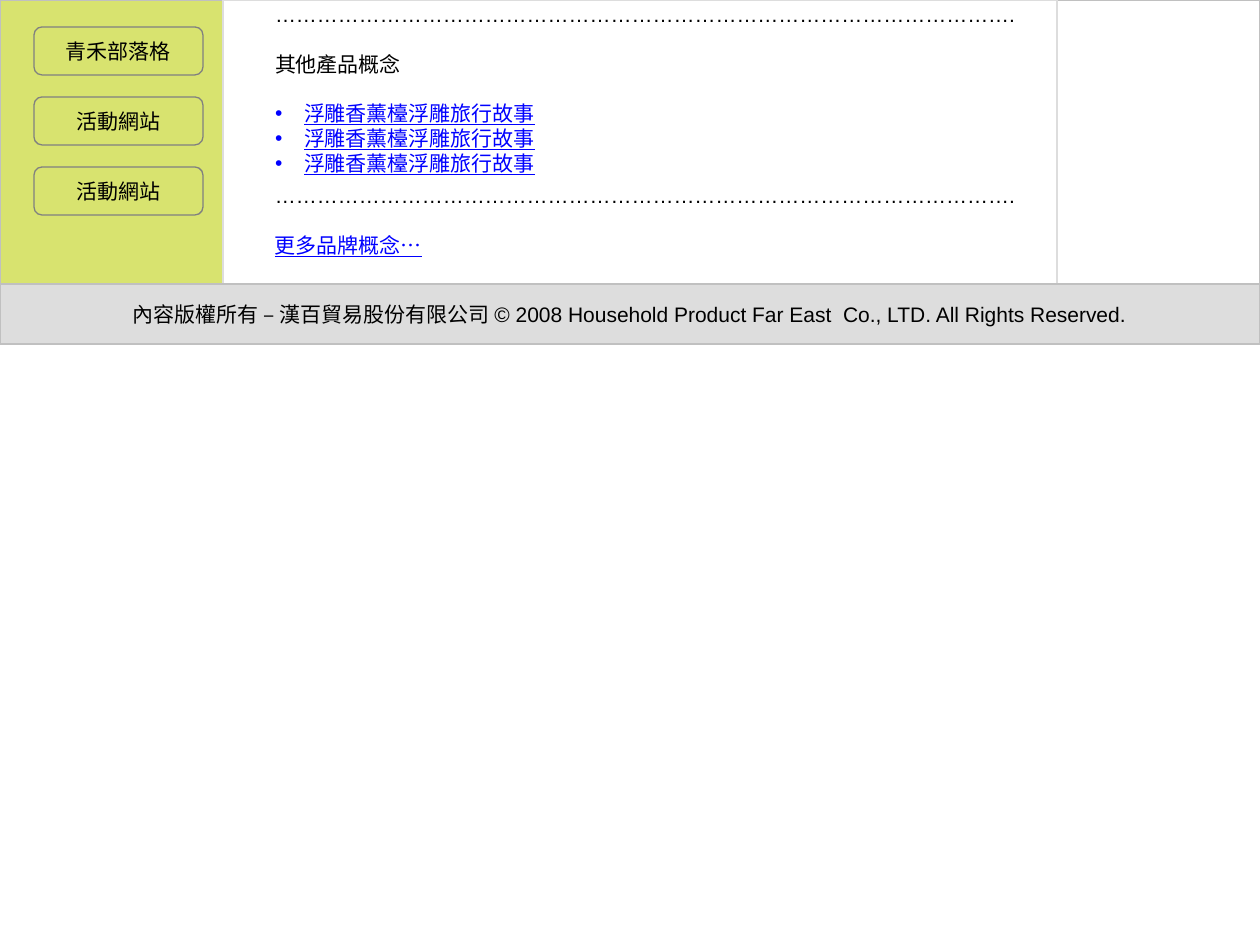
import dataclasses

import lxml.etree
import pptx
import pptx.dml.color
import pptx.enum.shapes
import pptx.enum.text
import pptx.oxml.ns
import pptx.util

PX = pptx.util.Inches(1) / 126
SHAPES = pptx.enum.shapes.MSO_SHAPE
LIME, WHITE, GREY, BLACK, LINK = "D8E36F", "FFFFFF", "DDDDDD", "000000", "0000FF"
BULLET_INDENT = 29
PARAGRAPH_GAP = 13.7
DOTS = "…" * 35 + "."


@dataclasses.dataclass
class Box:
    left: int
    top: int
    width: int
    height: int
    fill: str
    line: str
    label: str = ""
    preset: SHAPES = SHAPES.RECTANGLE


@dataclasses.dataclass
class Line:
    text: str
    is_link: bool = False
    bulleted: bool = False
    gap: float = 0


PANELS = [
    Box(0, 0, 223, 284, LIME, "C0C0C0"),
    Box(1057, 0, 203, 284, WHITE, "C0C0C0"),
    Box(223, 0, 834, 284, WHITE, GREY),
    Box(0, 284, 1260, 60, GREY, "C0C0C0",
        "內容版權所有 – 漢百貿易股份有限公司 © 2008 Household Product Far East  Co., LTD. All Rights Reserved."),
]
MENU = ["青禾部落格", "活動網站", "活動網站"]
BUTTONS = [
    Box(34, 27 + 70 * row, 169, 48, LIME, "808080", label, SHAPES.ROUNDED_RECTANGLE)
    for row, label in enumerate(MENU)
]
STORY = "浮雕香薰檯浮雕旅行故事"
CONCEPTS = [
    Line(DOTS),
    Line("其他產品概念", gap=PARAGRAPH_GAP),
    Line(STORY, is_link=True, bulleted=True, gap=PARAGRAPH_GAP),
    Line(STORY, is_link=True, bulleted=True),
    Line(STORY, is_link=True, bulleted=True),
]
MORE = [Line(DOTS), Line("更多品牌概念…", is_link=True, gap=PARAGRAPH_GAP)]


def px(length: int) -> int:
    return round(length * PX)


def color(value: str) -> pptx.dml.color.RGBColor:
    return pptx.dml.color.RGBColor.from_string(value)


def add_run(paragraph, text: str, text_color: str, underline: bool = False) -> None:
    run = paragraph.add_run()
    run.text = text
    run.font.size = pptx.util.Pt(12)
    run.font.name = "Arial"
    run.font.color.rgb = color(text_color)
    if underline:
        run.font.underline = True


def set_frame(frame, anchor, wrap: bool) -> None:
    frame.margin_left = frame.margin_right = 0
    frame.margin_top = frame.margin_bottom = 0
    frame.auto_size = pptx.enum.text.MSO_AUTO_SIZE.NONE
    frame.vertical_anchor = anchor
    frame.word_wrap = wrap


def draw_box(slide, box: Box) -> None:
    shape = slide.shapes.add_shape(
        box.preset, px(box.left), px(box.top), px(box.width), px(box.height))
    shape.shadow.inherit = False
    shape.fill.solid()
    shape.fill.fore_color.rgb = color(box.fill)
    shape.line.color.rgb = color(box.line)
    shape.line.width = pptx.util.Pt(0.75)
    if box.label:
        set_frame(shape.text_frame, pptx.enum.text.MSO_ANCHOR.MIDDLE, False)
        paragraph = shape.text_frame.paragraphs[0]
        paragraph.alignment = pptx.enum.text.PP_ALIGN.CENTER
        add_run(paragraph, box.label, BLACK)


def set_bullet(paragraph, bulleted: bool) -> None:
    """Set the indent and the bullet, or switch an inherited bullet off."""
    qn = pptx.oxml.ns.qn
    properties = paragraph._p.get_or_add_pPr()
    indent = px(BULLET_INDENT) if bulleted else 0
    properties.set("marL", str(indent))
    properties.set("indent", str(-indent))
    if not bulleted:
        lxml.etree.SubElement(properties, qn("a:buNone"))
        return
    bullet_color = lxml.etree.SubElement(properties, qn("a:buClr"))
    lxml.etree.SubElement(bullet_color, qn("a:srgbClr"), val=LINK)
    lxml.etree.SubElement(properties, qn("a:buFont"), typeface="Arial")
    lxml.etree.SubElement(properties, qn("a:buChar"), char="•")


def write_lines(frame, lines: list[Line]) -> None:
    set_frame(frame, pptx.enum.text.MSO_ANCHOR.TOP, True)
    for index, line in enumerate(lines):
        paragraph = frame.add_paragraph() if index else frame.paragraphs[0]
        set_bullet(paragraph, line.bulleted)
        paragraph.alignment = pptx.enum.text.PP_ALIGN.LEFT
        paragraph.space_before = pptx.util.Pt(line.gap)
        add_run(paragraph, line.text, LINK if line.is_link else BLACK, line.is_link)


def main() -> None:
    presentation = pptx.Presentation()
    presentation.slide_width = px(1260)
    presentation.slide_height = px(945)
    slide = presentation.slides.add_slide(presentation.slide_layouts[1])
    title = slide.shapes.title
    title._element.getparent().remove(title._element)

    for panel in PANELS:
        draw_box(slide, panel)

    concepts = slide.placeholders[1]
    concepts.left, concepts.top = px(275), px(2)
    concepts.width, concepts.height = px(768), px(178)
    write_lines(concepts.text_frame, CONCEPTS)
    # The placeholder is created first, so bring it in front of the panels.
    slide.shapes._spTree.append(concepts._element)

    more = slide.shapes.add_textbox(px(275), px(183), px(768), px(78))
    write_lines(more.text_frame, MORE)

    for button in BUTTONS:
        draw_box(slide, button)

    presentation.save("out.pptx")


if __name__ == "__main__":
    main()
